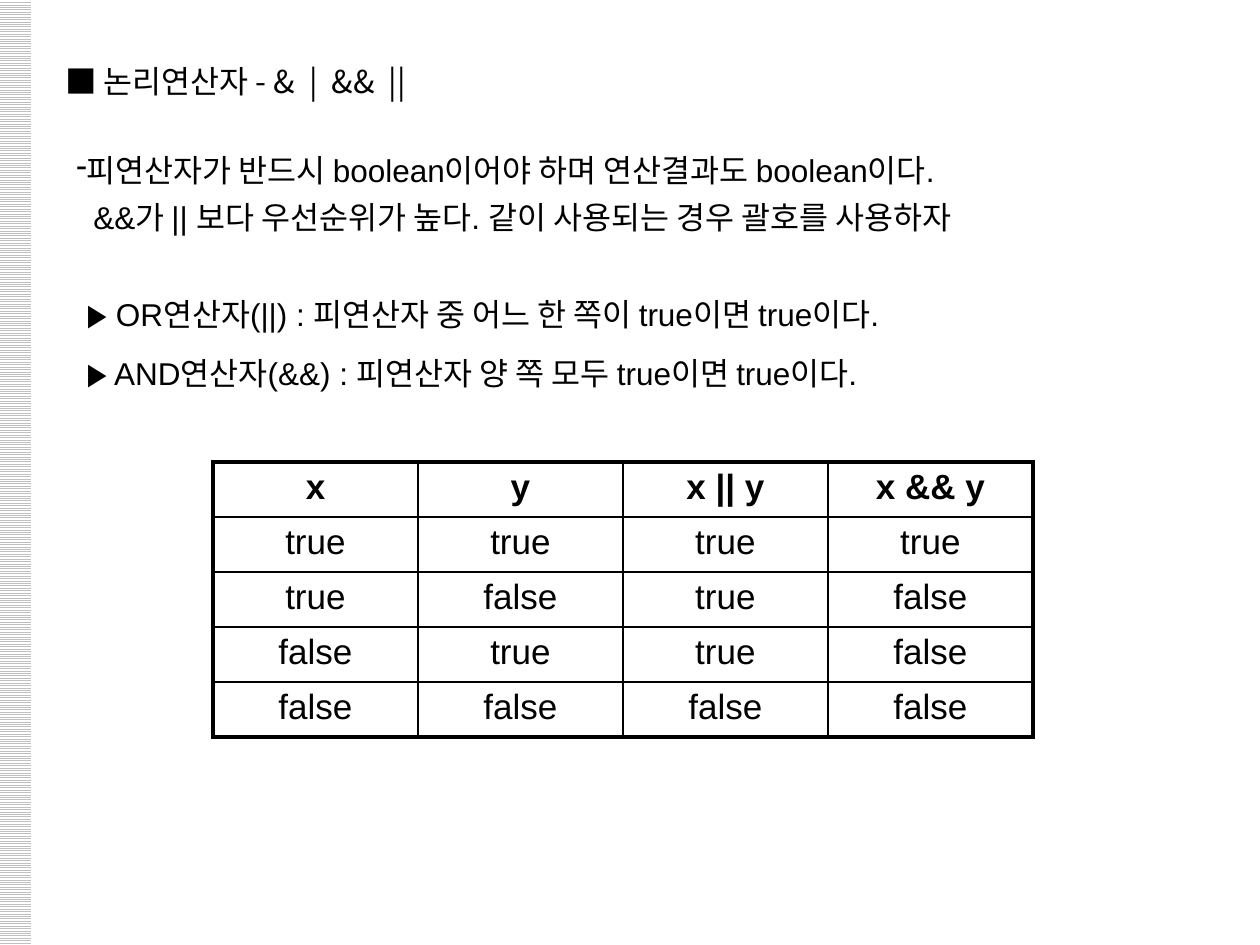
from lxml import etree
from pptx import Presentation
from pptx import util as u
from pptx.dml.color import RGBColor
from pptx.enum import dml, shapes, text
from pptx.oxml.ns import qn

PX = 914400 // 126
COLORS = {"ink": "000000", "stripe": "C0C0C0", "paper": "FFFFFF"}
KOREAN = "Noto Sans CJK KR"


def add_run(p, words, size, font="Arial", bold=False):
    r = p.add_run()
    r.text = words
    r.font.size = u.Pt(size)
    r.font.bold = bold
    r.font.name = font
    r.font.color.rgb = RGBColor.from_string(COLORS["ink"])
    etree.SubElement(r.font._element, qn("a:ea"), typeface=KOREAN)


def add_box(x, y, w, h, wrap=True):
    tf = s.shapes.add_textbox(x * PX, y * PX, w * PX, h * PX).text_frame
    tf.word_wrap = wrap
    return tf


prs = Presentation()
prs.slide_width, prs.slide_height = u.Inches(10), u.Inches(7.5)
s = prs.slides.add_slide(prs.slide_layouts[6])

# Striped left edge
sp = s.shapes.add_shape(shapes.MSO_SHAPE.RECTANGLE, -1 * PX, 0, 32 * PX, 945 * PX)
sp.shadow.inherit = False
sp.line.fill.background()
sp.fill.patterned()
sp.fill.pattern = dml.MSO_PATTERN.LIGHT_HORIZONTAL
sp.fill.fore_color.rgb = RGBColor.from_string(COLORS["stripe"])
sp.fill.back_color.rgb = RGBColor.from_string(COLORS["paper"])

# Title
p = add_box(53, 37, 431, 71, wrap=False).paragraphs[0]
p.line_spacing = 1.5
add_run(p, "■ 논리연산자 - &  |  &&  ||", 18, KOREAN)

# Rules for the operands
tf = add_box(64, 145, 1196, 108)
p = tf.paragraphs[0]
pPr = p._p.get_or_add_pPr()
pPr.set("marL", "0")
pPr.set("indent", "0")
etree.SubElement(pPr, qn("a:buChar"), char="-")
add_run(p, "피연산자가 반드시 boolean이어야 하며 연산결과도 boolean이다.", 18)
p = tf.add_paragraph()
p._p.get_or_add_pPr().set("marL", str(17 * PX))
p.space_before = u.Pt(5)
add_run(p, "&&가 || 보다 우선순위가 높다. 같이 사용되는 경우 괄호를 사용하자", 18)

# Operator definitions
for i, words in enumerate([
    "▶ OR연산자(||) : 피연산자 중 어느 한 쪽이 true이면 true이다.",
    "▶ AND연산자(&&) : 피연산자 양 쪽 모두 true이면 true이다.",
]):
    add_run(add_box(74, 289 + i * 59, 1176, 50).paragraphs[0], words, 18)

# Truth table
rows = [
    ["x", "y", "x || y", "x && y"],
    ["true", "true", "true", "true"],
    ["true", "false", "true", "false"],
    ["false", "true", "true", "false"],
    ["false", "false", "false", "false"],
]
n_rows, n_cols = len(rows), len(rows[0])
table = s.shapes.add_table(n_rows, n_cols, 213 * PX, 462 * PX,
                           n_cols * 205 * PX, n_rows * 55 * PX).table
table.first_row = table.horz_banding = False
for i, row in enumerate(rows):
    for j, words in enumerate(row):
        cell = table.cell(i, j)
        p = cell.text_frame.paragraphs[0]
        p.alignment = text.PP_ALIGN.CENTER
        add_run(p, words, 20, bold=i == 0)

        # Thick outer frame, thin inner grid
        tcPr = cell._tc.get_or_add_tcPr()
        outer = {"lnL": j == 0, "lnR": j == n_cols - 1,
                 "lnT": i == 0, "lnB": i == n_rows - 1}
        for side, thick in outer.items():
            ln = etree.SubElement(tcPr, qn("a:" + side), w=str(u.Pt(2.25 if thick else 1)))
            fill = etree.SubElement(ln, qn("a:solidFill"))
            etree.SubElement(fill, qn("a:srgbClr"), val=COLORS["ink"])
        cell.fill.background()

prs.save("out.pptx")
